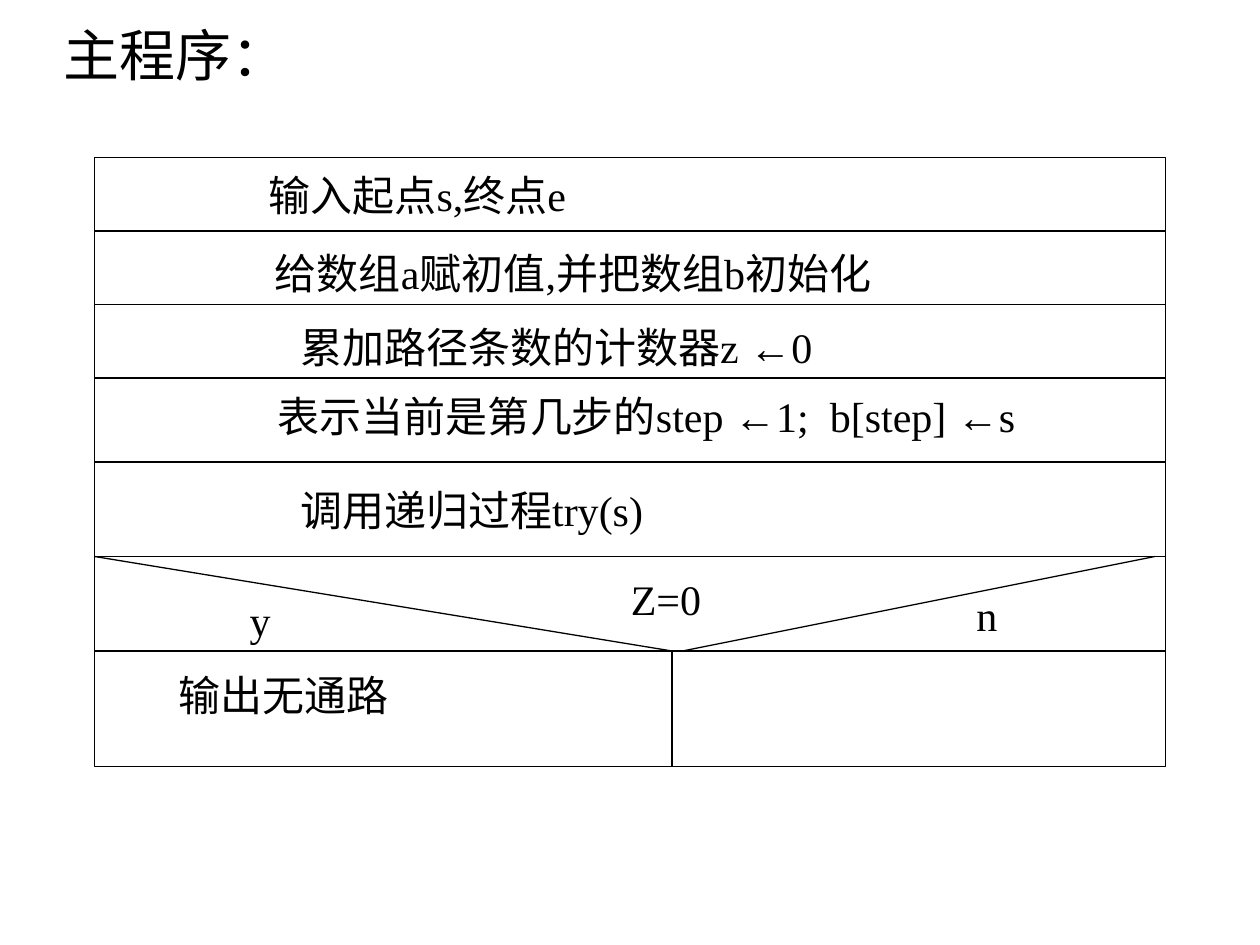
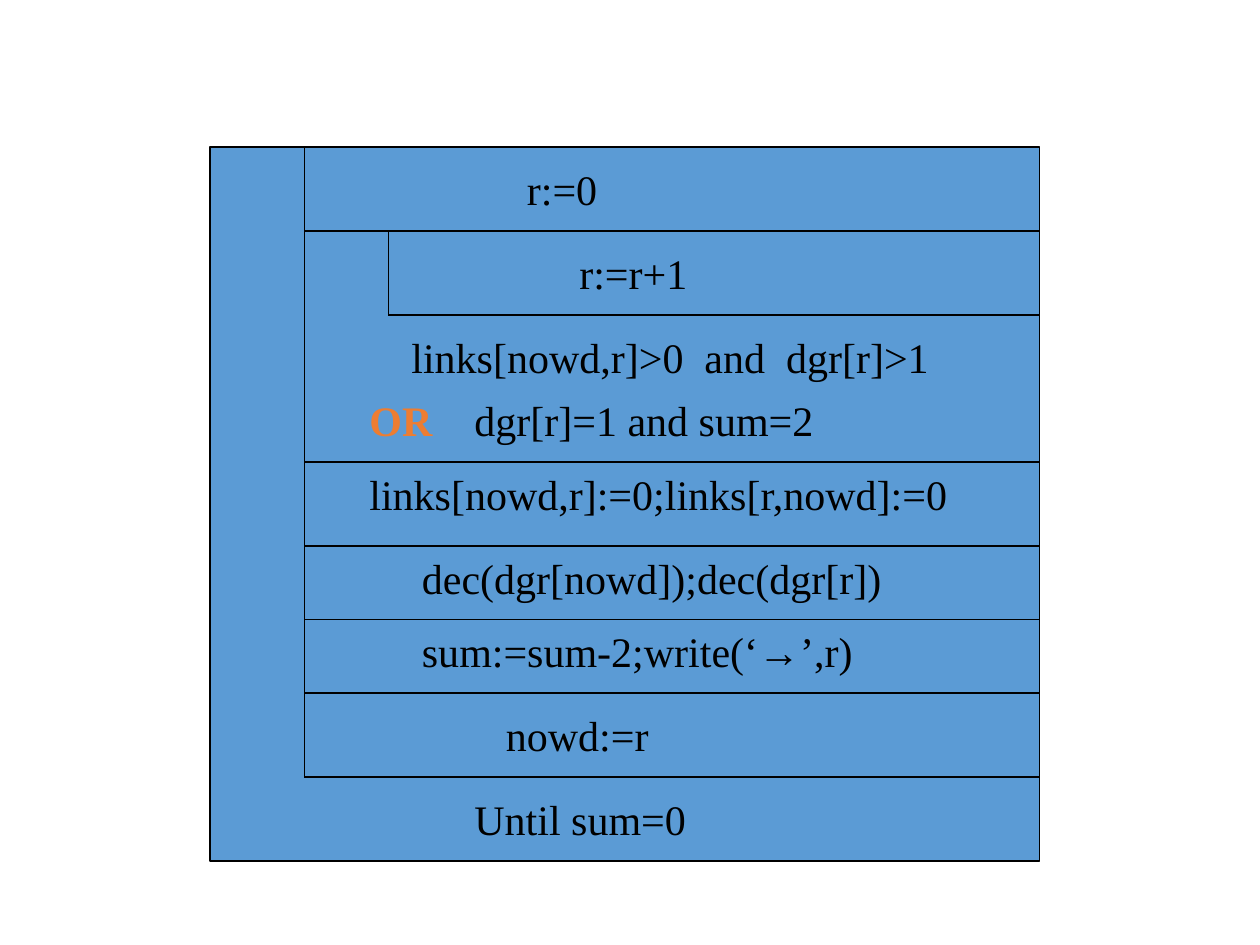
import pptx
import pptx.util
import pptx.dml.color
import pptx.enum.shapes
import pptx.enum.text
import lxml.etree

BLACK = pptx.dml.color.RGBColor(0x00, 0x00, 0x00)
WHITE = pptx.dml.color.RGBColor(0xFF, 0xFF, 0xFF)
BLUE = pptx.dml.color.RGBColor(0x5B, 0x9B, 0xD5)
ORANGE = pptx.dml.color.RGBColor(0xED, 0x7D, 0x31)
FONT = "Times New Roman"
LINE_WIDTH = pptx.util.Pt(0.75)
A = "{http://schemas.openxmlformats.org/drawingml/2006/main}"

deck = pptx.Presentation()
deck.slide_width = pptx.util.Inches(10)
deck.slide_height = pptx.util.Inches(7.5)
CELL = deck.slide_width // 120
LABEL_ROWS = 6


def write(box, text, size=24, wrap=False):
    frame = box.text_frame
    frame.word_wrap = wrap
    frame.auto_size = pptx.enum.text.MSO_AUTO_SIZE.SHAPE_TO_FIT_TEXT
    frame.vertical_anchor = pptx.enum.text.MSO_ANCHOR.TOP
    paragraph = frame.paragraphs[0]
    paragraph.alignment = pptx.enum.text.PP_ALIGN.LEFT
    for part in text.split("|"):
        run = paragraph.add_run()
        run.text = part
        run.font.size = pptx.util.Pt(size)
        run.font.name = FONT
        run.font.color.rgb = BLACK
    return paragraph


def draw_diagram(slide, bounds, fill, rules):
    frame = slide.shapes.add_shape(
        pptx.enum.shapes.MSO_SHAPE.RECTANGLE, *[int(n * CELL) for n in bounds])
    frame.shadow.inherit = False
    frame.fill.solid()
    frame.fill.fore_color.rgb = fill
    frame.line.color.rgb = BLACK
    frame.line.width = LINE_WIDTH
    left, top, width, height = bounds
    for rule in rules:
        connector = slide.shapes.add_connector(
            pptx.enum.shapes.MSO_CONNECTOR.STRAIGHT, *[int(n * CELL) for n in rule])
        connector.line.color.rgb = BLACK
        connector.line.width = LINE_WIDTH
        lxml.etree.SubElement(connector._element.spPr, A + "effectLst")
        middle = top + height / 2
        if rule == (left, middle, left + width, middle):
            connector.begin_connect(frame, 1)
            connector.end_connect(frame, 3)


main_program = deck.slides.add_slide(deck.slide_layouts[5])
heading = main_program.shapes.title
heading.left, heading.top = int(4.8 * CELL), int(1.4 * CELL)
heading.width, heading.height = int(24 * CELL), int(7.7 * CELL)
write(heading, "主程序：", size=32)

main_rules = [(9, row, 111, row) for row in (22, 29, 36, 44, 53, 62)]
branch_rules = [(9, 53, 64, 62), (65, 62, 110, 53), (64, 62, 64, 73)]
draw_diagram(main_program, (9, 15, 102, 58), WHITE, main_rules + branch_rules)

main_steps = [
    ("输入起点s,终点e", 24.4, 15.6, 34.2),
    ("给数组a赋初值,并把数组b初始化", 25, 23, 65.5),
    ("累加路径条数的计数器z ←0", 27.4, 30, 52.7),
    ("表示当前是第几步的step ←1;  b[step] ←s", 25.3, 36.6, 74.2),
    ("调用递归过程try(s)", 27.4, 45.6, 36.6),
    ("Z=0", 58.9, 54, 9.5),
    ("y", 22.6, 56, 4.6),
    ("n", 91.8, 55.6, 4.6),
    ("输出无通路", 15.8, 63.2, 23),
]
for text, column, row, columns in main_steps:
    box = main_program.shapes.add_textbox(
        *[int(n * CELL) for n in (column, row, columns, LABEL_ROWS)])
    write(box, text)

until_loop = deck.slides.add_slide(deck.slide_layouts[6])
loop_rules = [(29, row, 99, row) for row in (22, 44, 52, 59, 66, 74)]
nesting_rules = [(29, 14, 29, 74), (37, 22, 37, 30), (37, 30, 99, 30)]
draw_diagram(until_loop, (20, 14, 79, 68), BLUE, loop_rules + nesting_rules)

loop_steps = [
    ("r:=0", 49, 15, 9.5, False),
    ("r:=r+1", 54, 23, 13.2, False),
    ("links[nowd,r]>0  and  dgr[r]>1", 38, 31, 52.4, False),
    ("OR|\tdgr[r]=1 and sum=2", 34, 37, 49.6, True),
    ("links[nowd,r]:=0;links[r,nowd]:=0", 34, 44, 62, True),
    ("dec(dgr[nowd]);dec(dgr[r])", 39, 52, 49.6, True),
    ("sum:=sum-2;write(‘|→|’,r)", 39, 59, 49.6, True),
    ("nowd:=r", 47, 67, 22, True),
    ("Until sum=0", 44, 75, 23.2, False),
]
for text, column, row, columns, wrap in loop_steps:
    box = until_loop.shapes.add_textbox(
        *[int(n * CELL) for n in (column, row, columns, LABEL_ROWS)])
    paragraph = write(box, text, wrap=wrap)
    if text.startswith("OR"):
        paragraph.runs[0].font.bold = True
        paragraph.runs[0].font.color.rgb = ORANGE
        tabs = lxml.etree.SubElement(paragraph._p.get_or_add_pPr(), A + "tabLst")
        lxml.etree.SubElement(tabs, A + "tab", pos=str(10 * CELL), algn="l")
    if "→" in text:
        paragraph.runs[1].font.name = "Arial"

deck.save("out.pptx")
